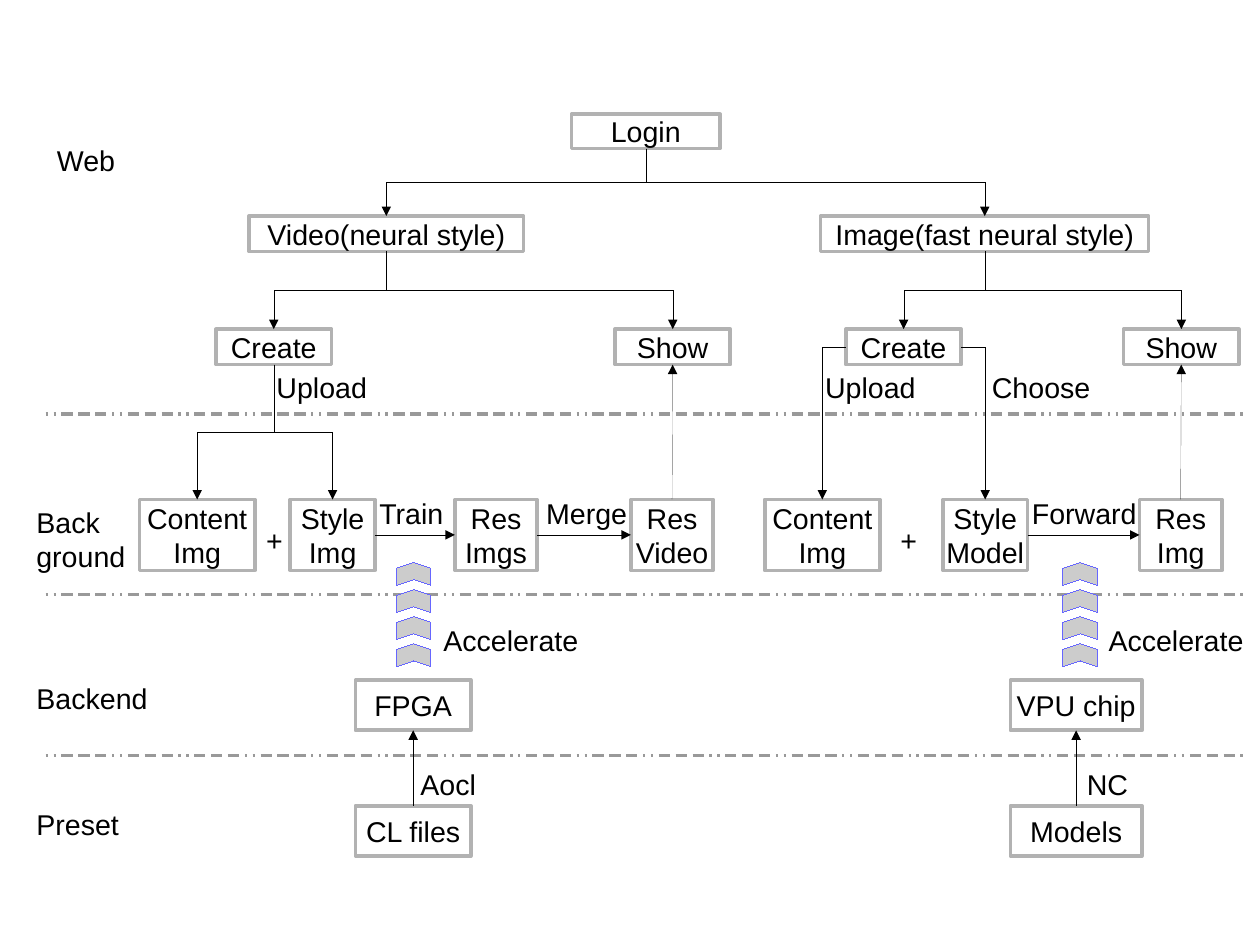
"""Builds the style transfer system diagram: four layers from web to presets."""
from lxml.etree import SubElement
from pptx import Presentation
from pptx.dml.color import RGBColor
from pptx.enum.shapes import MSO_CONNECTOR, MSO_SHAPE
from pptx.enum.text import MSO_ANCHOR, MSO_AUTO_SIZE, PP_ALIGN
from pptx.oxml.ns import qn
from pptx.util import Cm, Inches, Pt

BLACK = RGBColor(0x00, 0x00, 0x00)
WHITE = RGBColor(0xFF, 0xFF, 0xFF)
BORDER = RGBColor(0xB2, 0xB2, 0xB2)
DIVIDER = RGBColor(0x99, 0x99, 0x99)
CHEVRON = RGBColor(0xCC, 0xCC, 0xCC)
CHEVRON_LINE = RGBColor(0x66, 0x66, 0xFF)
HAIRLINE, THICK = 0.01, 2.3

TOP, LEFT, BOTTOM, RIGHT = range(4)
ROWS = {
    "login": (1, 0.3),
    "style": (1.89, 0.31),
    "action": (2.88, 0.31),
    "image": (4.37, 0.62),
    "device": (5.95, 0.44),
    "preset": (7.05, 0.44),
}
BOXES = {
    "login": ("login", "Login", 5, 1.3),
    "video": ("style", "Video(neural style)", 2.18, 2.4),
    "fast": ("style", "Image(fast neural style)", 7.18, 2.87),
    "video create": ("action", "Create", 1.89, 1.01),
    "video show": ("action", "Show", 5.38, 1.01),
    "fast create": ("action", "Create", 7.4, 1.01),
    "fast show": ("action", "Show", 9.83, 1.01),
    "video content": ("image", "Content\nImg", 1.22, 1.01),
    "video style": ("image", "Style\nImg", 2.54, 0.74),
    "video frames": ("image", "Res\nImgs", 3.98, 0.72),
    "video result": ("image", "Res\nVideo", 5.52, 0.72),
    "fast content": ("image", "Content\nImg", 6.69, 1.01),
    "fast model": ("image", "Style\nModel", 8.25, 0.74),
    "fast result": ("image", "Res\nImg", 9.97, 0.72),
    "fpga": ("device", "FPGA", 3.11, 1.01),
    "stick": ("device", "VPU chip", 8.84, 1.15),
    "kernels": ("preset", "CL files", 3.11, 1.01),
    "models": ("preset", "Models", 8.84, 1.15),
}
BRANCHES = {
    "login": ("video", "fast"),
    "video": ("video create", "video show"),
    "fast": ("fast create", "fast show"),
    "video create": ("video content", "video style"),
}
SIDE_BRANCHES = [
    ("fast create", LEFT, "fast content"),
    ("fast create", RIGHT, "fast model"),
]
ARROWS = [
    ("video style", RIGHT, "video frames", LEFT),
    ("video frames", RIGHT, "video result", LEFT),
    ("fast model", RIGHT, "fast result", LEFT),
    ("video result", TOP, "video show", BOTTOM),
    ("fast result", TOP, "fast show", BOTTOM),
    ("kernels", TOP, "fpga", BOTTOM),
    ("models", TOP, "stick", BOTTOM),
]
LABELS = [
    ("Web", 0.4, 1.2, 0.8),
    ("Back\nground", 0.22, 4.37, 1),
    ("Backend", 0.22, 5.91, 1.38),
    ("Preset", 0.22, 7.01, 1.38),
    ("Upload", 2.32, 3.19, 0.99),
    ("Upload", 7.12, 3.19, 0.99),
    ("Choose", 8.58, 3.19, 1.06),
    ("+", 2.23, 4.53, 0.34),
    ("+", 7.78, 4.53, 0.34),
    ("Train", 3.22, 4.29, 0.76),
    ("Merge", 4.68, 4.29, 0.91),
    ("Forward", 8.93, 4.29, 1.14),
    ("Accelerate", 3.78, 5.4, 1.38),
    ("Accelerate", 9.6, 5.4, 1.38),
    ("Aocl", 3.58, 6.66, 0.75),
    ("NC", 9.41, 6.66, 0.56),
]
DIVIDER_ROWS = (3.62, 5.2, 6.61)
DIVIDER_LEFT, DIVIDER_RIGHT = 0.4, 10.88
DOT, DASH, GAP = "62000", "309000", "154000"
CHEVRON_LEFTS = (3.52, 9.35)
CHEVRON_TOP, CHEVRON_STEP, CHEVRON_COUNT = 4.87, 0.237, 4


def write(frame, text, alignment):
    frame.text = text
    for paragraph in frame.paragraphs:
        paragraph.alignment = alignment
        paragraph.font.name = "Arial"
        paragraph.font.size = Pt(18)
        paragraph.font.color.rgb = BLACK


def paint(shape, fill, line, width):
    shape.shadow.inherit = False
    shape.fill.solid()
    shape.fill.fore_color.rgb = fill
    shape.line.color.rgb = line
    shape.line.width = Pt(width)


def add_box(slide, row, text, left, width):
    top, height = ROWS[row]
    box = slide.shapes.add_shape(
        MSO_SHAPE.RECTANGLE, Inches(left), Inches(top), Inches(width), Inches(height))
    paint(box, WHITE, BORDER, THICK)
    frame = box.text_frame
    frame.word_wrap = False
    frame.vertical_anchor = MSO_ANCHOR.MIDDLE
    frame.margin_left = frame.margin_right = Inches(0.11)
    frame.margin_top = frame.margin_bottom = Inches(0.06)
    write(frame, text, PP_ALIGN.CENTER)
    return box


def add_label(slide, text, left, top, width):
    height = 0.7 if "\n" in text else 0.38
    label = slide.shapes.add_textbox(Inches(left), Inches(top), Inches(width), Inches(height))
    label.text_frame.word_wrap = left < 0.5
    label.text_frame.auto_size = MSO_AUTO_SIZE.SHAPE_TO_FIT_TEXT
    write(label.text_frame, text, PP_ALIGN.LEFT)


def add_line(slide, kind, start, end, color, width):
    points = [int(number) for number in (*start, *end)]
    connector = slide.shapes.add_connector(kind, *points)
    connector.line.color.rgb = color
    connector.line.width = Pt(width)
    properties = connector._element.spPr
    SubElement(properties, qn("a:effectLst"))
    return connector, properties.find(qn("a:ln"))


def add_divider(slide, row):
    start, end = (Inches(DIVIDER_LEFT), Inches(row)), (Inches(DIVIDER_RIGHT), Inches(row))
    _, outline = add_line(slide, MSO_CONNECTOR.STRAIGHT, start, end, DIVIDER, THICK)
    pattern = SubElement(outline, qn("a:custDash"))
    for length in (DOT, DOT, DASH, DASH, DASH):
        SubElement(pattern, qn("a:ds"), d=length, sp=GAP)


def add_arrow(slide, kind, start, end):
    connector, outline = add_line(slide, kind, start, end, BLACK, HAIRLINE)
    SubElement(outline, qn("a:tailEnd"), type="triangle")
    return connector


def site(box, side):
    across = {LEFT: 0, RIGHT: 1}.get(side, 0.5)
    down = {TOP: 0, BOTTOM: 1}.get(side, 0.5)
    return box.left + box.width * across, box.top + box.height * down


def add_branch(slide, parent, child):
    (x1, y1), (x2, y2) = site(parent, BOTTOM), site(child, TOP)
    center_x, center_y = (x1 + x2) / 2, (y1 + y2) / 2
    direction = 1 if x2 > x1 else -1
    half_run, half_rise = direction * (y2 - y1) / 2, abs(x2 - x1) / 2
    branch = add_arrow(
        slide, MSO_CONNECTOR.ELBOW,
        (center_x + half_run, center_y - half_rise),
        (center_x - half_run, center_y + half_rise))
    degrees = 270 if direction > 0 else 90
    branch._element.spPr.find(qn("a:xfrm")).set("rot", str(degrees * 60000))


def main():
    presentation = Presentation()
    presentation.slide_width, presentation.slide_height = Cm(28), Cm(21)
    slide = presentation.slides.add_slide(presentation.slide_layouts[6])

    for row in DIVIDER_ROWS:
        add_divider(slide, row)

    boxes = {name: add_box(slide, *content) for name, content in BOXES.items()}

    for parent, children in BRANCHES.items():
        for child in children:
            add_branch(slide, boxes[parent], boxes[child])
    for parent, side, child in SIDE_BRANCHES:
        corner = add_arrow(slide, MSO_CONNECTOR.ELBOW,
                           site(boxes[parent], side), site(boxes[child], TOP))
        corner._element.spPr.find(qn("a:prstGeom")).set("prst", "bentConnector2")
    for source, source_side, target, target_side in ARROWS:
        arrow = add_arrow(slide, MSO_CONNECTOR.STRAIGHT,
                          site(boxes[source], source_side), site(boxes[target], target_side))
        arrow.begin_connect(boxes[source], source_side)
        arrow.end_connect(boxes[target], target_side)

    for left in CHEVRON_LEFTS:
        for step in range(CHEVRON_COUNT):
            chevron = slide.shapes.add_shape(
                MSO_SHAPE.CHEVRON, Inches(left), Inches(CHEVRON_TOP + step * CHEVRON_STEP),
                Inches(0.2), Inches(0.3))
            chevron.adjustments[0] = 0.25
            chevron.rotation = 270
            paint(chevron, CHEVRON, CHEVRON_LINE, HAIRLINE)

    for label in LABELS:
        add_label(slide, *label)
    presentation.save("out.pptx")


if __name__ == "__main__":
    main()
